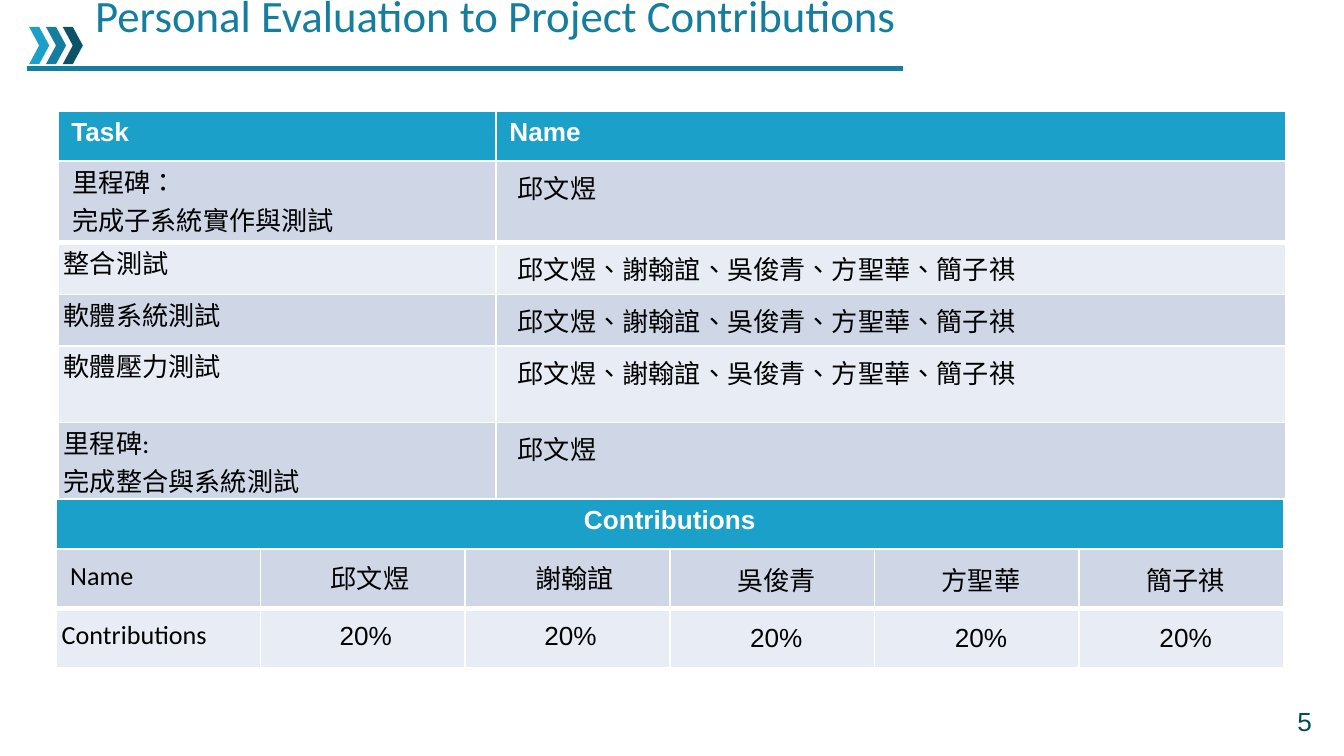
from lxml import etree
from pptx import Presentation
from pptx.dml.color import RGBColor
from pptx.enum.lang import MSO_LANGUAGE_ID
from pptx.enum.shapes import MSO_CONNECTOR, MSO_SHAPE
from pptx.enum.text import MSO_ANCHOR, PP_ALIGN
from pptx.oxml.ns import qn
from pptx.util import Pt

STRAIGHT = MSO_CONNECTOR.STRAIGHT
CHEVRON = MSO_SHAPE.CHEVRON
TOP, MIDDLE = MSO_ANCHOR.TOP, MSO_ANCHOR.MIDDLE
LEFT, CENTER, RIGHT = PP_ALIGN.LEFT, PP_ALIGN.CENTER, PP_ALIGN.RIGHT
CHINESE = MSO_LANGUAGE_ID.TRADITIONAL_CHINESE

WHITE, BLACK = "FFFFFF", "000000"
SKY, TEAL, NAVY, PINE = "1BA0C9", "157E9F", "0D5267", "004C54"
BANDS = ("CFD7E7", "E8ECF4")

# Cell insets: left, top, right, bottom
WIDE = (7.2, 3.6, 7.2, 3.6)
TIGHT = (3.2, 0.3, 0, 2.5)
INDENT = 4.5

TEAM = ["邱文煜", "謝翰誼", "吳俊青", "方聖華", "簡子祺"]
EVERYONE = "、".join(TEAM)
TASKS = [
    ("里程碑：\v完成子系統實作與測試", TEAM[0]),
    ("整合測試", EVERYONE),
    ("軟體系統測試", EVERYONE),
    ("軟體壓力測試", EVERYONE),
    ("里程碑:\n完成整合與系統測試", TEAM[0]),
]


def rgb(value):
    return RGBColor.from_string(value)


def set_insets(target, insets):
    (target.margin_left, target.margin_top,
     target.margin_right, target.margin_bottom) = map(Pt, insets)


def write(frame, text, font, size, color, bold=False, align=LEFT, indent=0):
    """Write paragraphs split at newlines, with line breaks at vertical tabs."""
    for number, line in enumerate(text.split("\n")):
        paragraph = frame.add_paragraph() if number else frame.paragraphs[0]
        paragraph.alignment = align
        if indent:
            paragraph._p.get_or_add_pPr().set("marL", str(Pt(indent)))
        for position, part in enumerate(line.split("\v")):
            if position:
                paragraph.add_line_break()
            run = paragraph.add_run()
            run.text = part
            run.font.name = font
            run.font.size = Pt(size)
            run.font.bold = bold
            run.font.color.rgb = rgb(color)
            if not part.isascii():
                run.font.language_id = CHINESE


def add_label(slide, box, insets, anchor=TOP):
    frame = slide.shapes.add_textbox(*map(Pt, box)).text_frame
    frame.word_wrap = True
    frame.vertical_anchor = anchor
    set_insets(frame, insets)
    return frame


def add_rule(slide, left, right, y):
    rule = slide.shapes.add_connector(STRAIGHT, Pt(left), Pt(y), Pt(right), Pt(y))
    rule.line.color.rgb = rgb(TEAL)
    rule.line.width = Pt(3)
    etree.SubElement(rule._element.spPr, qn("a:effectLst"))


def add_chevron(slide, left, color):
    chevron = slide.shapes.add_shape(CHEVRON, Pt(left), Pt(14.4), Pt(10.8), Pt(20))
    chevron.shadow.inherit = False
    chevron.fill.solid()
    chevron.fill.fore_color.rgb = rgb(color)
    chevron.line.fill.background()


def set_borders(cell, row):
    """White borders, heavier between the first and second body rows."""
    widths = {"lnL": 1, "lnR": 1, "lnT": 3 if row == 2 else 1, "lnB": 3 if row == 1 else 1}
    properties = cell._tc.get_or_add_tcPr()
    for position, (side, width) in enumerate(widths.items()):
        line = etree.Element(qn(f"a:{side}"), w=str(Pt(width)))
        fill = etree.SubElement(line, qn("a:solidFill"))
        etree.SubElement(fill, qn("a:srgbClr"), val=WHITE)
        properties.insert(position, line)


def add_grid(slide, left, top, columns, rows):
    table = slide.shapes.add_table(
        len(rows), len(columns), Pt(left), Pt(top), Pt(sum(columns)), Pt(sum(rows))
    ).table
    for column, width in zip(table.columns, columns):
        column.width = Pt(width)
    for number, (row, height) in enumerate(zip(table.rows, rows)):
        row.height = Pt(height)
        for cell in row.cells:
            cell.fill.solid()
            cell.fill.fore_color.rgb = rgb(BANDS[(number - 1) % 2] if number else SKY)
            set_borders(cell, number)
    return table


def fill_header(cell, text, align=LEFT):
    set_insets(cell, WIDE)
    write(cell.text_frame, text, "Arial", 14, WHITE, True, align)


def fill_cell(cell, text, font, insets, indent=0, align=LEFT, anchor=TOP):
    cell.vertical_anchor = anchor
    set_insets(cell, insets)
    write(cell.text_frame, text, font, 14, BLACK, False, align, indent)


def add_title(slide):
    add_rule(slide, 14.4, 483.8, 36.7)
    for number, color in enumerate((SKY, TEAL, NAVY)):
        add_chevron(slide, 15.6 + 9 * number, color)
    frame = add_label(slide, (-17.3, -10.8, 520.6, 39.6), (7.2,) * 4)
    write(frame, "Personal Evaluation to Project Contributions",
          "Calibri", 24, TEAL, indent=61.2)
    frame.paragraphs[0].space_before = Pt(5.6)
    frame.paragraphs[0].line_spacing = 0.9


def add_task_table(slide):
    table = add_grid(slide, 31, 59.4, [234.7, 423.4], [27, 25.2, 25.2, 25.2, 41, 25.2])
    for column, heading in enumerate(("Task", "Name")):
        fill_header(table.cell(0, column), heading)
    for row, (task, people) in enumerate(TASKS, 1):
        fill_cell(table.cell(row, 0), task, "Calibri", TIGHT, INDENT if row == 1 else 0)
        fill_cell(table.cell(row, 1), people, "Arial", WIDE, INDENT)


def add_contribution_table(slide):
    table = add_grid(slide, 29.9, 267.2, [109.65] * 6, [27, 31.8, 31.8])
    table.cell(0, 0).merge(table.cell(0, 5))
    fill_header(table.cell(0, 0), "Contributions", CENTER)
    records = [["Name", *TEAM], ["Contributions"] + ["20%"] * len(TEAM)]
    for row, record in enumerate(records, 1):
        for column, text in enumerate(record):
            fill_cell(
                table.cell(row, column), text,
                "Arial" if column else "Calibri",
                WIDE if column > 2 else TIGHT,
                INDENT if row == 1 or column > 2 else 0,
                CENTER if column else LEFT, MIDDLE,
            )


def main():
    deck = Presentation()
    deck.slide_width, deck.slide_height = Pt(720), Pt(405)
    slide = deck.slides.add_slide(deck.slide_layouts[6])

    # Task assignments
    add_task_table(slide)

    # Page number
    page = add_label(slide, (545.8, 375.4, 162, 21.6), (5, 2.9, 5, 2.9), MIDDLE)
    write(page, "5", "Arial", 14, PINE, align=RIGHT)

    # Title with chevrons and rule
    add_title(slide)

    # Contribution shares
    add_contribution_table(slide)

    deck.save("out.pptx")


if __name__ == "__main__":
    main()
